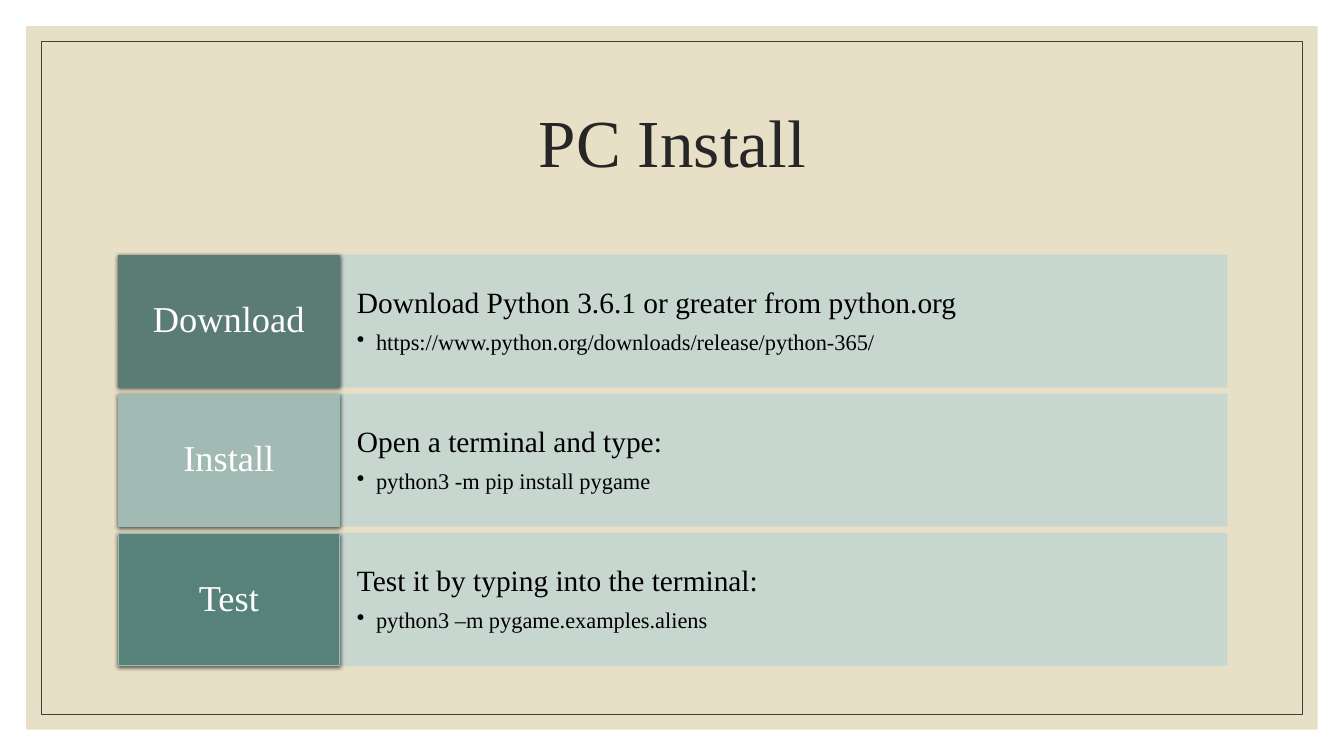
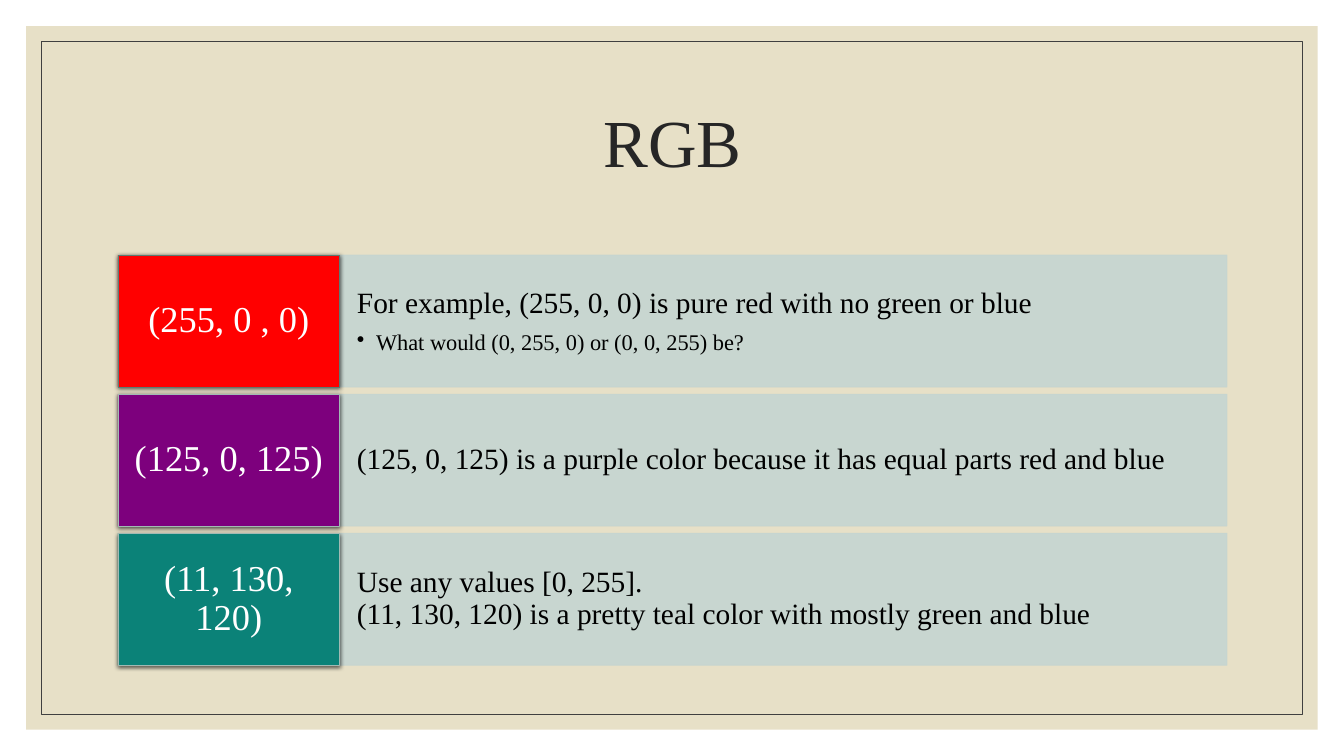
from dataclasses import dataclass

from lxml.etree import SubElement
from pptx import Presentation
from pptx.dml.color import RGBColor
from pptx.enum.shapes import MSO_SHAPE
from pptx.enum.text import MSO_ANCHOR, PP_ALIGN
from pptx.oxml.ns import qn
from pptx.util import Emu, Inches, Pt


@dataclass(frozen=True)
class Theme:
    font: str = "Times New Roman"
    paper: str = "E7E0C7"
    frame: str = "404040"
    heading: str = "262626"
    body: str = "000000"
    label: str = "FFFFFF"
    band: str = "C5D5D1"
    pine: str = "5B7C74"
    sage: str = "A2BAB4"
    heading_size: int = 48
    label_size: int = 26
    body_size: int = 21
    detail_size: int = 16


theme = Theme()

# Content grid: one column for the label, four for its text
LEFT, COLUMN = 1.17, 2.2
TOP, ROW, PITCH = 2.53, 1.31, 1.38
BODY_COLUMNS = 4
WIDTH, HEIGHT = 13.33, 7.5

LABEL_FRAME = {"margin_left": Inches(0.12), "margin_right": Inches(0.12),
               "margin_top": Inches(0.13), "margin_bottom": Inches(0.13),
               "vertical_anchor": MSO_ANCHOR.MIDDLE}
BODY_FRAME = {"margin_left": Inches(0.17), "margin_right": Inches(0.17),
              "margin_top": Inches(0.33), "margin_bottom": Inches(0.33)}

# Each row: label, label fill (two colours make a gradient), outline, statement, detail
SLIDES = [
    ("PC Install", [
        ("Download", (theme.pine, "597B74"), theme.pine,
         "Download Python 3.6.1 or greater from python.org",
         "https://www.python.org/downloads/release/python-365/"),
        ("Install", (theme.sage, "A0B9B3"), theme.sage,
         "Open a terminal and type:", "python3 -m pip install pygame"),
        ("Test", ("578279",), theme.sage,
         "Test it by typing into the terminal:", "python3 –m pygame.examples.aliens"),
    ]),
    ("RGB", [
        ("(255, 0 , 0)", ("FF0000",), theme.pine,
         "For example, (255, 0, 0) is pure red with no green or blue",
         "What would (0, 255, 0) or (0, 0, 255) be?"),
        ("(125, 0, 125)", ("7D007D",), theme.sage,
         "(125, 0, 125) is a purple color because it has equal parts red and blue", None),
        ("(11, 130, 120)", ("0B8278",), theme.sage,
         "Use any values [0, 255].\n"
         "(11, 130, 120) is a pretty teal color with mostly green and blue", None),
    ]),
]


def add_box(slide, area, colors, outline=None):
    """Add a rectangle filled with no colour, one colour or a vertical gradient."""
    box = slide.shapes.add_shape(MSO_SHAPE.RECTANGLE, *map(Inches, area))
    box.shadow.inherit = False
    if not colors:
        box.fill.background()
    elif len(colors) == 1:
        box.fill.solid()
        box.fill.fore_color.rgb = RGBColor.from_string(colors[0])
    else:
        box.fill.gradient()
        box.fill.gradient_angle = 270
        for stop, color in zip(box.fill.gradient_stops, colors):
            stop.color.rgb = RGBColor.from_string(color)
    if outline:
        box.line.color.rgb = RGBColor.from_string(outline)
        box.line.width = Pt(0.5)
    else:
        box.line.fill.background()
    return box


def write(shape, frame_format, paragraphs, color, align):
    """Fill a shape with (text, size, space after, bulleted) paragraphs."""
    frame = shape.text_frame
    frame.word_wrap = True
    for name, value in frame_format.items():
        setattr(frame, name, value)
    for index, (text, size, space_after, bulleted) in enumerate(paragraphs):
        paragraph = frame.add_paragraph() if index else frame.paragraphs[0]
        paragraph.text = text
        paragraph_format = {"alignment": align, "line_spacing": 0.9,
                            "space_after": Pt(space_after)}
        for name, value in paragraph_format.items():
            setattr(paragraph, name, value)
        if bulleted:
            properties = paragraph._p.get_or_add_pPr()
            properties.set("marL", str(Inches(0.19)))
            properties.set("indent", str(-Inches(0.19)))
            SubElement(properties, qn("a:buChar"), char="•")
        for run in paragraph.runs:
            run.font.name = theme.font
            run.font.size = Pt(size)
            run.font.color.rgb = RGBColor.from_string(color)


deck = Presentation()
deck.slide_width, deck.slide_height = Inches(WIDTH), Inches(HEIGHT)

for heading, rows in SLIDES:
    slide = deck.slides.add_slide(deck.slide_layouts[6])
    for margin, colors, outline in [(0.26, (theme.paper,), None), (0.41, (), theme.frame)]:
        add_box(slide, (margin, margin, WIDTH - 2 * margin, HEIGHT - 2 * margin),
                colors, outline)

    title = slide.shapes.add_textbox(*map(Inches, (LEFT, 0.7, 5 * COLUMN, 1.5)))
    write(title, {"vertical_anchor": MSO_ANCHOR.MIDDLE},
          [(heading, theme.heading_size, 0, False)], theme.heading, PP_ALIGN.CENTER)

    for number, (label, label_colors, outline, statement, detail) in enumerate(rows):
        top = TOP + number * PITCH

        band = add_box(slide, (LEFT + COLUMN, top, BODY_COLUMNS * COLUMN, ROW),
                       (theme.band,), theme.band)
        for color in band._element.spPr.iter(qn("a:srgbClr")):
            SubElement(color, qn("a:alpha"), val="90000")
        paragraphs = [(statement, theme.body_size, 8 if detail else 0, False)]
        if detail:
            paragraphs.append((detail, theme.detail_size, 3, True))
        anchor = MSO_ANCHOR.TOP if detail else MSO_ANCHOR.MIDDLE
        write(band, {**BODY_FRAME, "vertical_anchor": anchor}, paragraphs,
              theme.body, PP_ALIGN.LEFT)

        tile = add_box(slide, (LEFT, top, COLUMN, ROW), label_colors, outline)
        shadow = SubElement(tile._element.spPr.find(qn("a:effectLst")), qn("a:outerShdw"),
                            blurRad=str(Pt(3)), dist=str(Pt(1)), dir="5400000",
                            rotWithShape="0")
        shade = SubElement(shadow, qn("a:srgbClr"), val="000000")
        SubElement(shade, qn("a:alpha"), val="63000")
        write(tile, LABEL_FRAME, [(label, theme.label_size, 0, False)],
              theme.label, PP_ALIGN.CENTER)

deck.save("out.pptx")
